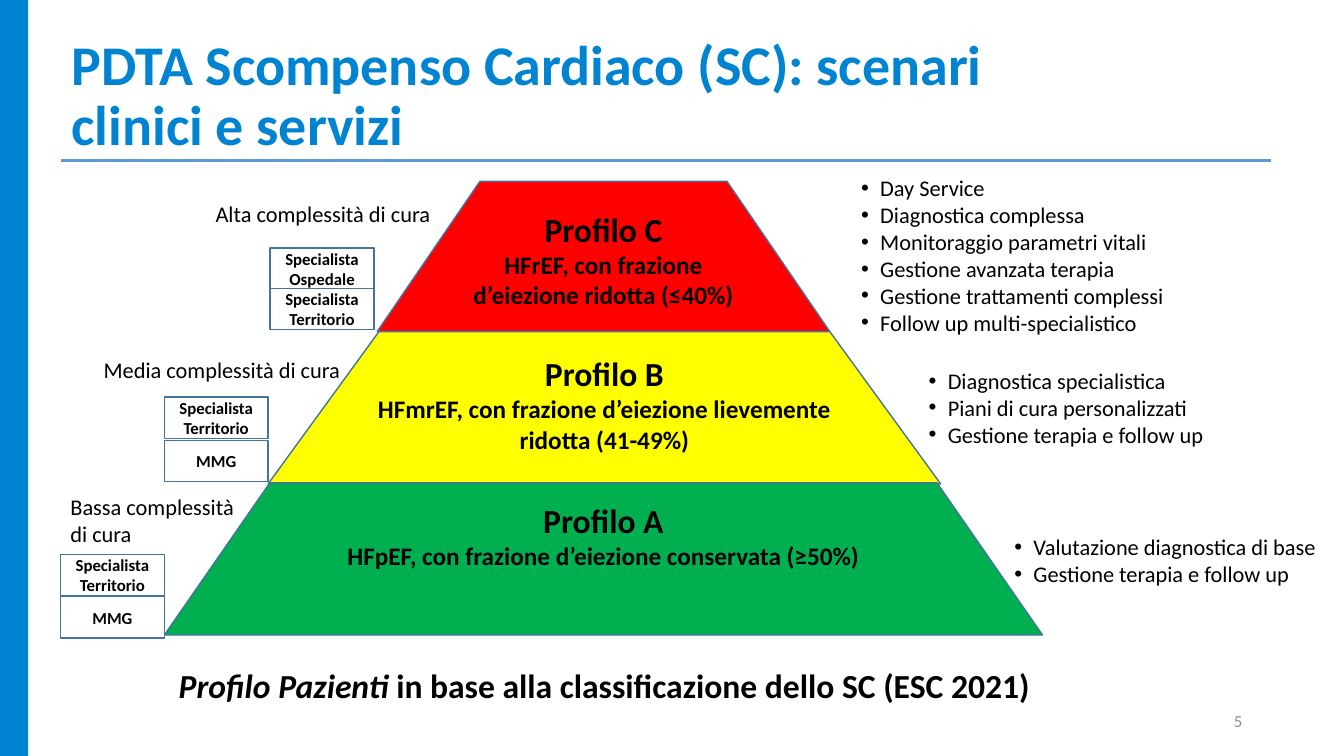
import dataclasses

import pptx
import pptx.dml.color
import pptx.enum.shapes
import pptx.enum.text
import pptx.oxml
import pptx.oxml.ns
import pptx.util
from lxml import etree

Inches = pptx.util.Inches
Pt = pptx.util.Pt
Align = pptx.enum.text.PP_ALIGN
Anchor = pptx.enum.text.MSO_ANCHOR
Shape = pptx.enum.shapes.MSO_SHAPE


@dataclasses.dataclass(frozen=True)
class Theme:
    font: str = "Calibri"
    accent: str = "0084D1"
    rule: str = "5B9BD5"
    outline: str = "43739E"
    text: str = "000000"
    paper: str = "FFFFFF"
    muted: str = "8C8C8C"
    title_size: int = 40
    heading_size: int = 24
    detail_size: int = 18
    label_size: int = 16
    small_size: int = 12


@dataclasses.dataclass(frozen=True)
class Area:
    left: float
    top: float
    width: float
    height: float

    def lengths(self) -> tuple:
        return tuple(Inches(value) for value in dataclasses.astuple(self))


@dataclasses.dataclass(frozen=True)
class Level:
    """One tier of the pyramid with its care label, staff boxes and services."""
    name: str
    detail: str
    colour: str
    area: Area
    slant: float
    label: tuple
    label_area: Area
    staff: tuple
    staff_left: float
    staff_top: float
    staff_step: float
    services: tuple
    services_area: Area


THEME = Theme()
STAFF_WIDTH, STAFF_HEIGHT = 1.03, 0.41
BULLET_INDENT = 0.19

LEVELS = (
    Level("Profilo C", "HFrEF, con frazione d’eiezione ridotta (≤40%)", "FF0000",
          Area(3.74, 1.8, 4.49, 1.49), 0.684,
          ("Alta complessità di cura",), Area(2.04, 1.94, 2.43, 0.37),
          ("Specialista Ospedale", "Specialista Territorio"), 2.68, 2.46, 0.4,
          ("Day Service", "Diagnostica complessa", "Monitoraggio parametri vitali",
           "Gestione avanzata terapia", "Gestione trattamenti complessi",
           "Follow up multi-specialistico"), Area(8.44, 1.68, 3.42, 1.72)),
    Level("Profilo B", "HFmrEF, con frazione d’eiezione lievemente ridotta (41-49%)", "FFFF00",
          Area(2.66, 3.29, 6.67, 1.51), 0.728,
          ("Media complessità di cura",), Area(0.93, 3.48, 2.57, 0.37),
          ("Specialista Territorio", "MMG"), 1.63, 3.94, 0.43,
          ("Diagnostica specialistica", "Piani di cura personalizzati",
           "Gestione terapia e follow up"), Area(9.11, 3.59, 2.96, 0.91)),
    Level("Profilo A", "HFpEF, con frazione d’eiezione conservata (≥50%)", "00B050",
          Area(1.63, 4.79, 8.71, 1.51), 0.693,
          ("Bassa complessità", "di cura"), Area(0.6, 4.84, 1.84, 0.64),
          ("Specialista Territorio", "MMG"), 0.6, 5.5, 0.42,
          ("Valutazione diagnostica di base", "Gestione terapia e follow up"),
          Area(9.96, 5.24, 3.38, 0.64)),
)


def rgb(value: str) -> pptx.dml.color.RGBColor:
    return pptx.dml.color.RGBColor.from_string(value)


def add_span(para, text: str, size: int, colour: str = THEME.text,
             bold: bool = False, italic: bool = False) -> None:
    span = para.add_run()
    span.text = text
    span.font.name = THEME.font
    span.font.size = Pt(size)
    span.font.color.rgb = rgb(colour)
    span.font.bold = bold
    span.font.italic = italic


def next_para(frame, index: int, align=Align.LEFT):
    para = frame.paragraphs[0] if index == 0 else frame.add_paragraph()
    para.alignment = align
    return para


def set_frame(frame, anchor=Anchor.TOP, wrap: bool = True) -> None:
    frame.word_wrap = wrap
    frame.auto_size = pptx.enum.text.MSO_AUTO_SIZE.NONE
    frame.vertical_anchor = anchor


def place(holder, area: Area) -> None:
    holder.left, holder.top, holder.width, holder.height = area.lengths()


def add_figure(page, kind, area: Area, fill: str, outline: str = ""):
    figure = page.shapes.add_shape(kind, *area.lengths())
    figure.shadow.inherit = False
    figure.fill.solid()
    figure.fill.fore_color.rgb = rgb(fill)
    if outline:
        figure.line.color.rgb = rgb(outline)
        figure.line.width = Pt(1)
    else:
        figure.line.fill.background()
    return figure


def add_text(page, area: Area, anchor=Anchor.TOP, wrap: bool = True):
    frame = page.shapes.add_textbox(*area.lengths()).text_frame
    set_frame(frame, anchor, wrap)
    return frame


def add_rule(page) -> None:
    rule = page.shapes.add_connector(
        pptx.enum.shapes.MSO_CONNECTOR.STRAIGHT,
        Inches(0.61), Inches(1.59), Inches(12.61), Inches(1.59))
    rule.line.color.rgb = rgb(THEME.rule)
    rule.line.width = Pt(2.25)
    etree.SubElement(rule.element.spPr, pptx.oxml.ns.qn("a:effectLst"))


def set_bullet(para) -> None:
    properties = para._p.get_or_add_pPr()
    properties.set("marL", str(Inches(BULLET_INDENT)))
    properties.set("indent", str(-Inches(BULLET_INDENT)))
    font = etree.SubElement(properties, pptx.oxml.ns.qn("a:buFont"))
    font.set("typeface", "Arial")
    bullet = etree.SubElement(properties, pptx.oxml.ns.qn("a:buChar"))
    bullet.set("char", "•")


def fill_title(holder) -> None:
    place(holder, Area(0.61, 0.34, 9.38, 1.25))
    set_frame(holder.text_frame, Anchor.MIDDLE)
    para = next_para(holder.text_frame, 0)
    para.line_spacing = 0.9
    add_span(para, "PDTA Scompenso Cardiaco (SC): scenari clinici e servizi",
             THEME.title_size, THEME.accent, bold=True)


def fill_services(holder, level: Level) -> None:
    place(holder, level.services_area)
    set_frame(holder.text_frame)
    for index, service in enumerate(level.services):
        para = next_para(holder.text_frame, index)
        para.space_before = Pt(0)
        set_bullet(para)
        add_span(para, service, THEME.label_size)


def add_level(page, level: Level) -> None:
    tier = add_figure(page, Shape.TRAPEZOID, level.area, level.colour, THEME.outline)
    tier.adjustments[0] = level.slant
    set_frame(tier.text_frame)
    lines = ((level.name, THEME.heading_size), (level.detail, THEME.detail_size))
    for index, (text, size) in enumerate(lines):
        add_span(next_para(tier.text_frame, index, Align.CENTER), text, size, bold=True)

    label = add_text(page, level.label_area)
    label.margin_right = 0
    for index, text in enumerate(level.label):
        add_span(next_para(label, index), text, THEME.label_size)

    for index, role in enumerate(level.staff):
        area = Area(level.staff_left, level.staff_top + index * level.staff_step,
                    STAFF_WIDTH, STAFF_HEIGHT)
        box = add_figure(page, Shape.RECTANGLE, area, THEME.paper, THEME.outline)
        set_frame(box.text_frame, Anchor.MIDDLE)
        add_span(next_para(box.text_frame, 0, Align.CENTER), role, THEME.small_size, bold=True)


def main() -> None:
    deck = pptx.Presentation()
    deck.slide_width, deck.slide_height = Inches(13.33), Inches(7.5)
    page = deck.slides.add_slide(deck.slide_layouts.get_by_name("Comparison"))
    title, *bodies = page.placeholders
    add_figure(page, Shape.RECTANGLE, Area(0, 0, 0.28, 7.5), THEME.accent)
    add_rule(page)
    fill_title(title)
    for level, body in zip(LEVELS, bodies):
        add_level(page, level)
        fill_services(body, level)
    for unused in bodies[len(LEVELS):]:
        unused.element.getparent().remove(unused.element)

    caption = next_para(add_text(page, Area(1.63, 6.55, 8.73, 0.5), wrap=False), 0, Align.CENTER)
    add_span(caption, "Profilo Pazienti ", THEME.heading_size, bold=True, italic=True)
    add_span(caption, "in base alla classificazione dello SC (ESC 2021)",
             THEME.heading_size, bold=True)
    number = next_para(add_text(page, Area(9.42, 6.95, 3, 0.4), Anchor.MIDDLE), 0, Align.RIGHT)
    add_span(number, "5", THEME.small_size, THEME.muted)
    deck.save("out.pptx")


if __name__ == "__main__":
    main()
